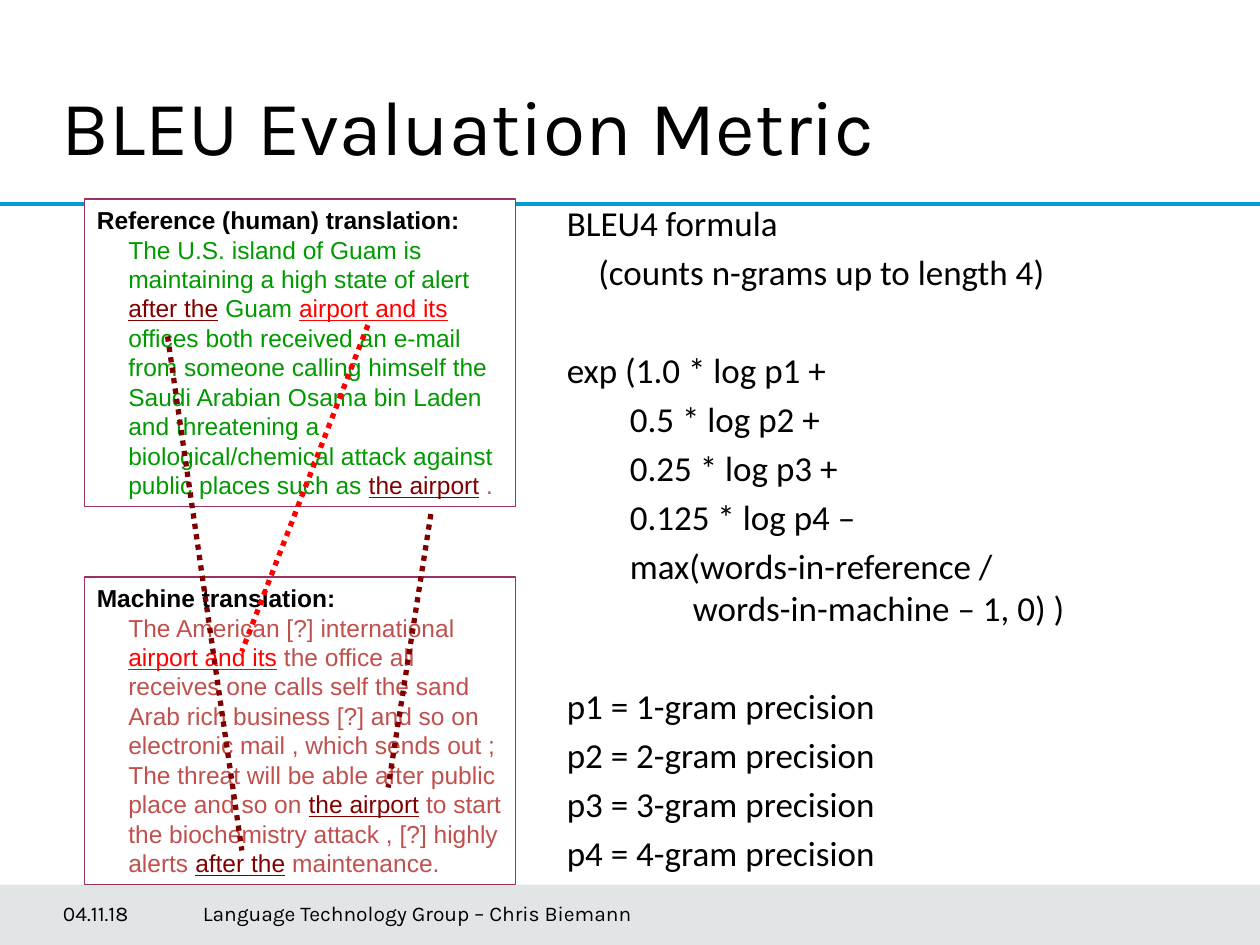
from lxml.etree import SubElement
from pptx import Presentation
from pptx.dml.color import RGBColor
from pptx.enum.dml import MSO_LINE
from pptx.enum.shapes import MSO_CONNECTOR, MSO_SHAPE
from pptx.enum.text import MSO_ANCHOR as Anchor, PP_ALIGN as Align
from pptx.oxml.ns import qn
from pptx.util import Inches, Pt

BLACK = RGBColor(0x00, 0x00, 0x00)
WHITE = RGBColor(0xFF, 0xFF, 0xFF)
SLATE = RGBColor(0x3B, 0x51, 0x5B)
BLUE = RGBColor(0x00, 0x9C, 0xD1)
PLUM = RGBColor(0x99, 0x33, 0x66)
GREEN = RGBColor(0x00, 0x99, 0x00)
MAROON = RGBColor(0x80, 0x00, 0x00)
RED = RGBColor(0xFF, 0x00, 0x00)
BRICK = RGBColor(0xC0, 0x50, 0x4D)

REFERENCE = [
    ("The U.S. island of Guam is maintaining a high state of alert ", GREEN),
    ("after the", MAROON), (" ", BRICK), ("Guam ", GREEN),
    ("airport and its", RED), (" ", BRICK),
    ("offices both received an e-mail from someone calling himself the "
     "Saudi Arabian Osama bin Laden and threatening a biological/chemical "
     "attack against public places such as ", GREEN),
    ("the airport", MAROON), (" .", BRICK),
]
MACHINE = [
    ("The American [?] international ", BRICK), ("airport and its", RED),
    (" the office all receives one calls self the sand Arab rich business "
     "[?] and so on electronic mail , which sends out ; The threat will be "
     "able after public place and so on ", BRICK),
    ("the airport", MAROON),
    (" to start the biochemistry attack , [?] highly alerts ", BRICK),
    ("after the", MAROON), (" maintenance.", BRICK),
]

# (text, left margin, first-line indent, space before)
LINE_GAP, BLOCK_GAP = 4, 32
FORMULA = [
    ("BLEU4 formula", 0, 0, 0),
    ("(counts n-grams up to length 4)", 0.25, 0, LINE_GAP),
    ("exp (1.0 * log p1 +", 0, 0, BLOCK_GAP),
    ("0.5 * log p2 +", 0.5, 0, LINE_GAP),
    ("0.25 * log p3 +", 0.5, 0, LINE_GAP),
    ("0.125 * log p4 –", 0.5, 0, LINE_GAP),
    ("max(words-in-reference /\vwords-in-machine – 1, 0) )", 1, -0.5, LINE_GAP),
] + [(f"p{n} = {n}-gram precision", 0, 0, BLOCK_GAP if n == 1 else LINE_GAP)
     for n in range(1, 5)]

# (start, end, colour) of each link between matching n-grams
MATCHES = [
    ((2.92, 2.58), (1.92, 5.17), RED),
    ((1.33, 2.67), (1.92, 6.75), MAROON),
    ((3.42, 4.08), (3.08, 6.25), MAROON),
]


def set_font(font, color, **formats):
    font.color.rgb = color
    for name, value in formats.items():
        setattr(font, name, value)


def set_indent(paragraph, left, first):
    props = paragraph._p.get_or_add_pPr()
    props.set("marL", str(Inches(left)))
    props.set("indent", str(Inches(first)))


def add_text_frame(slide, box, **formats):
    frame = slide.shapes.add_textbox(*map(Inches, box)).text_frame
    frame.word_wrap = True
    for name, value in formats.items():
        setattr(frame, name, value)
    return frame


def add_label(slide, box, text, size, **formats):
    """One line of Karla, centred vertically in its box."""
    frame = add_text_frame(slide, box, vertical_anchor=Anchor.MIDDLE, **formats)
    paragraph = frame.paragraphs[0]
    paragraph.text = text
    set_font(paragraph.runs[0].font, BLACK, name="Karla", size=Pt(size))


def add_rule(slide, start, end, color, width, dash=None):
    rule = slide.shapes.add_connector(
        MSO_CONNECTOR.STRAIGHT, *map(Inches, start + end))
    rule.line.color.rgb = color
    rule.line.width = Pt(width)
    if dash:
        rule.line.dash_style = dash
    SubElement(rule._element.spPr, qn("a:effectLst"))


def add_rectangle(slide, box, fill):
    rectangle = slide.shapes.add_shape(MSO_SHAPE.RECTANGLE, *map(Inches, box))
    rectangle.shadow.inherit = False
    rectangle.fill.solid()
    rectangle.fill.fore_color.rgb = fill
    return rectangle


def add_footer_band(slide, box):
    band = add_rectangle(slide, box, SLATE)
    band.line.fill.background()
    color = band._element.spPr.find(qn("a:solidFill")).find(qn("a:srgbClr"))
    SubElement(color, qn("a:alpha"), val="15000")


def add_footer_text(slide, box):
    left, top, width, height = box
    for offset, span, text in (
            (0.5, 1, "04.11.18"),
            (1.61, 4.9, "Language Technology Group – Chris Biemann")):
        add_label(slide, (left + offset, top + 0.03, span, height - 0.08),
                  text, 12, margin_left=0)


def add_translation(slide, box, heading, passages):
    """Framed translation whose matched n-grams are underlined."""
    frame_box = add_rectangle(slide, box, WHITE)
    frame_box.line.color.rgb = PLUM
    frame_box.line.width = Pt(0.75)
    frame = frame_box.text_frame
    frame.word_wrap = True
    frame.vertical_anchor = Anchor.TOP
    paragraph = frame.paragraphs[0]
    paragraph.alignment = Align.LEFT
    set_indent(paragraph, 0.25, -0.25)
    base = {"name": "Arial", "size": Pt(14)}
    title = paragraph.add_run()
    title.text = heading
    set_font(title.font, BLACK, bold=True, **base)
    paragraph.add_line_break()
    for text, color in passages:
        run = paragraph.add_run()
        run.text = text
        set_font(run.font, color, underline=color in (MAROON, RED), **base)


def add_formula(slide, box):
    frame = add_text_frame(slide, box)
    for index, (text, left, first, gap) in enumerate(FORMULA):
        paragraph = frame.add_paragraph() if index else frame.paragraphs[0]
        paragraph.text = text
        paragraph.space_before = Pt(gap)
        set_indent(paragraph, left, first)
        set_font(paragraph.font, BLACK, name="Calibri", size=Pt(20))
        for run in paragraph.runs:
            set_font(run.font, BLACK, name="Calibri", size=Pt(20))


def main():
    deck = Presentation()
    deck.slide_width, deck.slide_height = Inches(10), Inches(7.5)
    slide = deck.slides.add_slide(deck.slide_layouts[6])

    footer = (0, 7.02, 10, 0.48)
    add_footer_band(slide, footer)
    add_rule(slide, (0, 1.62), (10, 1.62), BLUE, 2)
    add_label(slide, (0.39, 0.53, 7.52, 0.92), "BLEU Evaluation Metric", 44)
    add_formula(slide, (4.4, 1.55, 5.58, 5.24))
    add_translation(slide, (0.67, 1.58, 3.42, 2.44),
                    "Reference (human) translation:", REFERENCE)
    add_translation(slide, (0.67, 4.58, 3.42, 2.44),
                    "Machine translation:", MACHINE)
    for start, end, color in MATCHES:
        add_rule(slide, start, end, color, 3, MSO_LINE.ROUND_DOT)
    add_footer_text(slide, footer)
    deck.save("out.pptx")


if __name__ == "__main__":
    main()
